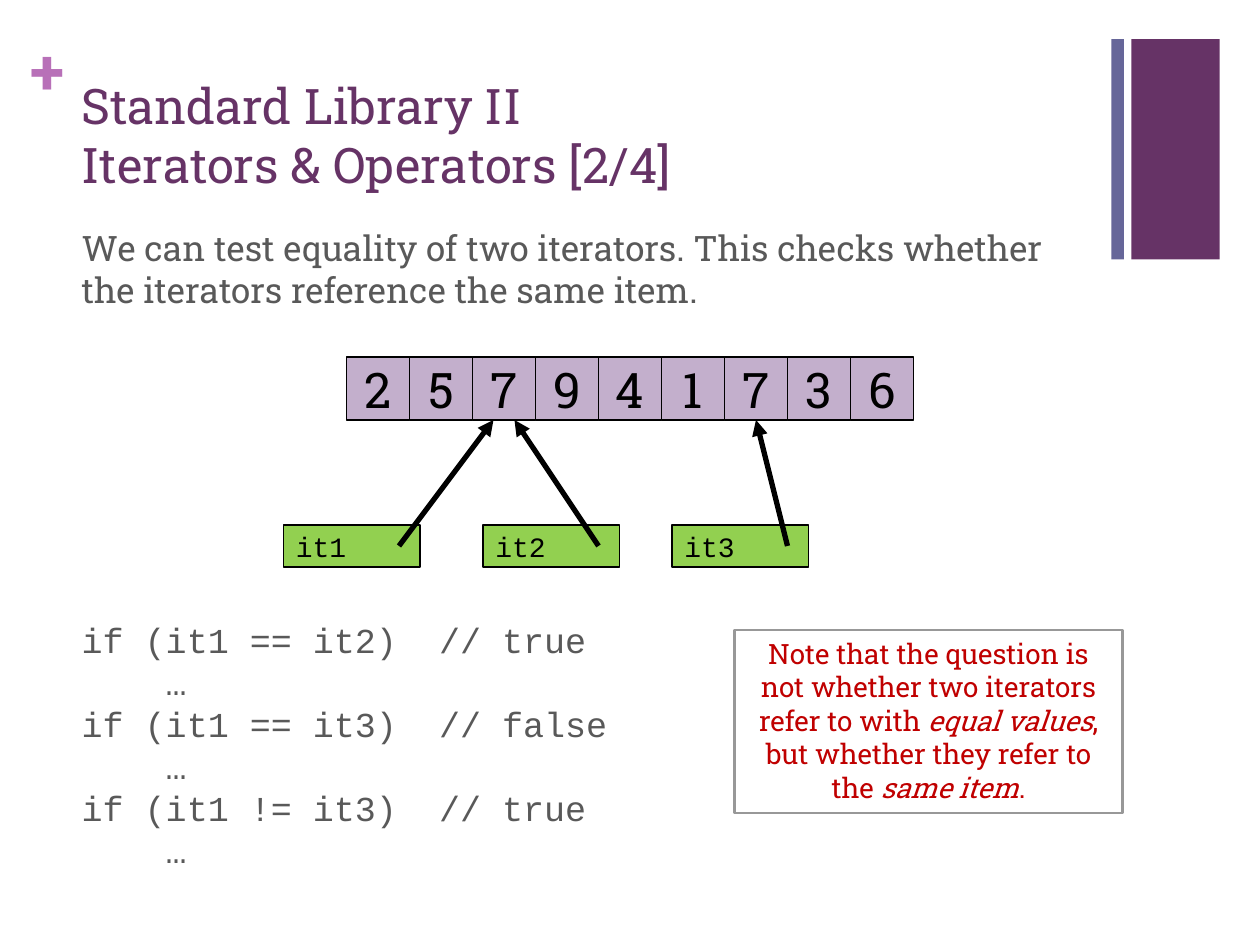
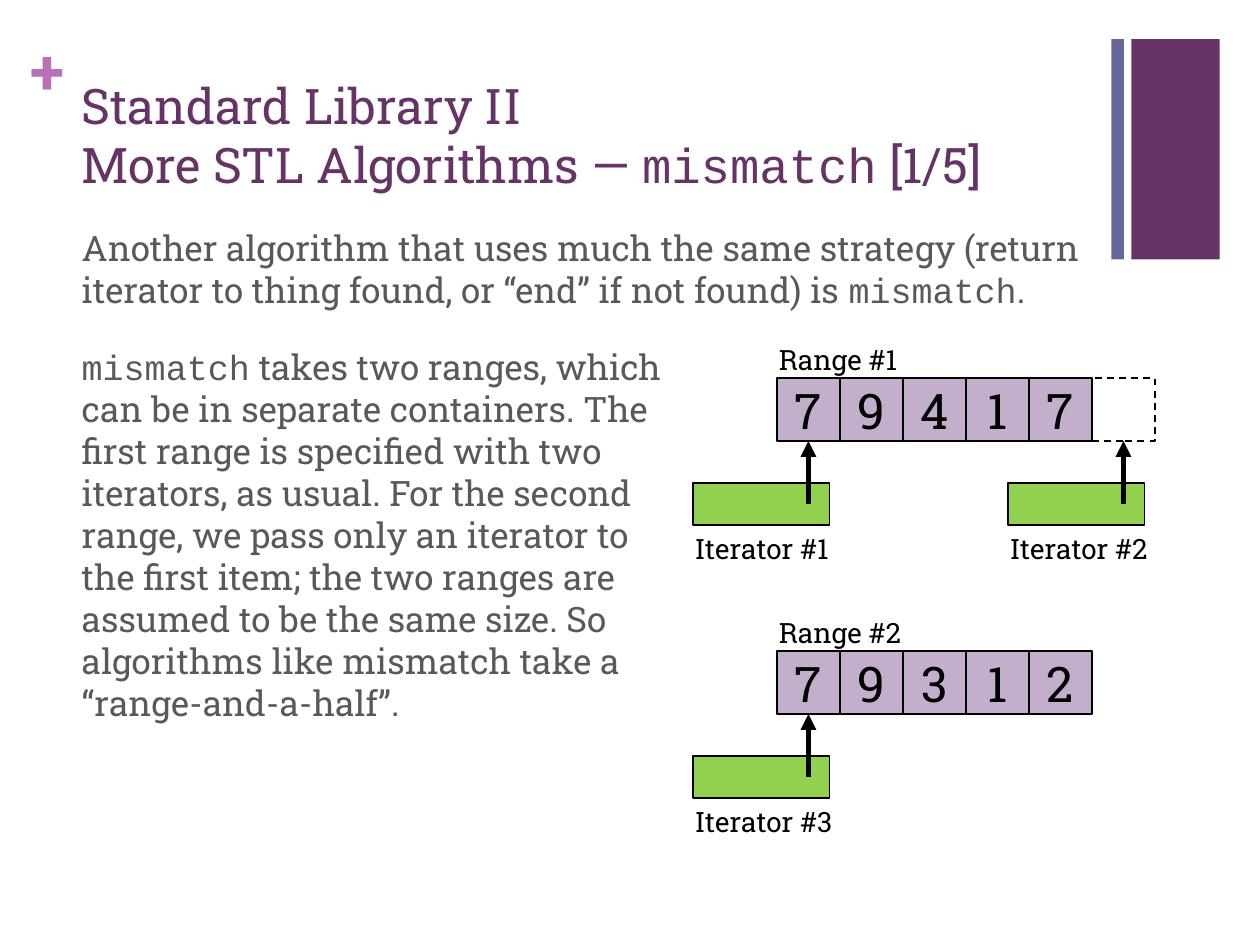
"""Build two slides on C++ iterators: equality tests and the mismatch algorithm."""
from lxml import etree
from pptx import Presentation
from pptx.dml.color import RGBColor
from pptx.enum.dml import MSO_LINE
from pptx.enum.shapes import MSO_CONNECTOR, MSO_SHAPE
from pptx.enum.text import MSO_ANCHOR, PP_ALIGN
from pptx.oxml.ns import qn
from pptx.util import Inches, Pt

RECTANGLE, STRAIGHT, DASH = MSO_SHAPE.RECTANGLE, MSO_CONNECTOR.STRAIGHT, MSO_LINE.DASH
TOP, MIDDLE, BOTTOM = MSO_ANCHOR.TOP, MSO_ANCHOR.MIDDLE, MSO_ANCHOR.BOTTOM
LEFT, CENTER = PP_ALIGN.LEFT, PP_ALIGN.CENTER

PURPLE = RGBColor(0x66, 0x33, 0x66)
SLATE = RGBColor(0x66, 0x66, 0x99)
ORCHID = RGBColor(0xB8, 0x70, 0xB8)
LILAC = RGBColor(0xC3, 0xAF, 0xCC)
GREEN = RGBColor(0x92, 0xD0, 0x50)
DARK_GRAY = RGBColor(0x59, 0x59, 0x59)
MID_GRAY = RGBColor(0x98, 0x98, 0x98)
RED = RGBColor(0xC0, 0x00, 0x00)
BLACK = RGBColor(0x00, 0x00, 0x00)

SERIF, MONO = "Roboto Slab", "Courier New"
GRID = 12
CELL = 6
ITERATOR_WIDTH, ITERATOR_HEIGHT = 13, 4
POINTER_X, POINTER_Y = 11, 2
LABEL_HEIGHT = 4.44
PAST_END = ""

TITLE_BOX = (0.55, 0.53, 8.26, 1.05)
INTRO_BOX = (0.55, 1.75, 8.26, 0.8)
BANDS = [((8.98, 0.31, 0.7, 1.75), PURPLE), ((8.82, 0.31, 0.1, 1.75), SLATE)]
PLUS_BOX = (0.24, 0.25, 0.29, 0.61)

CODE = [
    "if (it1 == it2)  // true",
    "    …",
    "if (it1 == it3)  // false",
    "    …",
    "if (it1 != it3)  // true",
    "    …",
]
NOTE = [
    "Note that the question is\vnot whether two iterators refer to with ",
    ("equal values", "italic"),
    ", but whether they refer to the ",
    ("same item", "italic"),
    ".",
]
EXPLANATION = [
    ("mismatch", "mono"),
    " takes two ranges, which can be in separate containers. The first range is "
    "specified with two iterators, as usual. For the second range, we pass only an "
    "iterator to the first item; the two ranges are assumed to be the same size. So "
    "algorithms like mismatch take a “range-and-a-half”.",
]

SLIDES = [
    {
        "title": ["Standard Library II\vIterators & Operators [2/4]"],
        "intro": ["We can test equality of two iterators. This checks whether "
                  "the iterators reference the same item."],
        "texts": [
            {"box": (0.55, 4.86, 5.2, 2.1), "paragraphs": [[line] for line in CODE],
             "size": 20, "color": DARK_GRAY, "font": MONO, "spacing": Pt(24)},
            {"box": (5.83, 5, 3.08, 1.45), "paragraphs": [NOTE], "size": 16,
             "color": RED, "align": CENTER, "outline": MID_GRAY},
        ],
        "ranges": [
            {"column": 33, "row": 34, "values": [2, 5, 7, 9, 4, 1, 7, 3, 6],
             "iterators": [
                 {"column": 27, "row": 50, "name": "it1", "target": 2, "shift": -1},
                 {"column": 46, "row": 50, "name": "it2", "target": 2, "shift": 1},
                 {"column": 64, "row": 50, "name": "it3", "target": 6},
             ]},
        ],
    },
    {
        "title": ["Standard Library II\vMore STL Algorithms — ",
                  ("mismatch", "mono"), " [1/5]"],
        "intro": ["Another algorithm that uses much the same strategy (return iterator "
                  "to thing found, or “end” if not found) is ", ("mismatch", "mono"), "."],
        "texts": [
            {"box": (0.55, 2.69, 4.85, 3.2), "paragraphs": [EXPLANATION],
             "size": 20, "color": DARK_GRAY},
        ],
        "ranges": [
            {"column": 74, "row": 36, "values": [7, 9, 4, 1, 7, PAST_END],
             "label": "Range #1",
             "iterators": [
                 {"column": 66, "row": 46, "label": "Iterator #1", "target": 0},
                 {"column": 96, "row": 46, "label": "Iterator #2", "target": 5},
             ]},
            {"column": 74, "row": 62, "values": [7, 9, 3, 1, 2], "label": "Range #2",
             "iterators": [
                 {"column": 66, "row": 72, "label": "Iterator #3", "target": 0},
             ]},
        ],
    },
]


def on_grid(*lengths):
    """Turn grid columns and rows into inches."""
    return [length / GRID for length in lengths]


def write(shape, paragraphs, size, color, font=SERIF, align=LEFT, anchor=TOP,
          spacing=None, bold=False):
    """Fill a shape with paragraphs, each a list of plain or styled runs."""
    frame = shape.text_frame
    frame.word_wrap = True
    frame.vertical_anchor = anchor
    for index, runs in enumerate(paragraphs):
        paragraph = frame.add_paragraph() if index else frame.paragraphs[0]
        paragraph.alignment = align
        paragraph.line_spacing = spacing
        mixed = any(isinstance(run, tuple) for run in runs)
        if not mixed:
            paragraph.text = runs[0]
        for item in runs if mixed else []:
            text, style = item if isinstance(item, tuple) else (item, "plain")
            for part, piece in enumerate(text.split("\v")):
                if part:
                    paragraph.add_line_break()
                run = paragraph.add_run()
                run.text = piece
                run.font.name = MONO if style == "mono" else font
                run.font.italic = style == "italic"
        paragraph.font.size = Pt(size)
        paragraph.font.color.rgb = color
        paragraph.font.name = font
        paragraph.font.bold = bold


def add_text(slide, box, paragraphs, size, color, outline=None, **style):
    """Add a text box, with an outline if a colour is given."""
    shape = slide.shapes.add_textbox(*map(Inches, box))
    if outline is not None:
        shape.line.color.rgb = outline
        shape.line.width = Pt(1.25)
    write(shape, paragraphs, size, color, **style)
    return shape


def add_box(slide, box, fill=None, line=BLACK):
    """Add a rectangle with an optional fill and outline."""
    shape = slide.shapes.add_shape(RECTANGLE, *map(Inches, box))
    shape.shadow.inherit = False
    if fill is None:
        shape.fill.background()
    else:
        shape.fill.solid()
        shape.fill.fore_color.rgb = fill
    if line is None:
        shape.line.fill.background()
    else:
        shape.line.color.rgb = line
        shape.line.width = Pt(1)
    return shape


def add_arrow(slide, start, end):
    """Add a thick black arrow."""
    arrow = slide.shapes.add_connector(STRAIGHT, *map(Inches, (*start, *end)))
    arrow.line.color.rgb = BLACK
    arrow.line.width = Pt(3)
    head = etree.SubElement(arrow.line._get_or_add_ln(), qn("a:tailEnd"))
    head.set("type", "triangle")
    etree.SubElement(arrow._element.spPr, qn("a:effectLst"))
    return arrow


def add_label(slide, column, row, width, text):
    """Add a small caption placed on the grid."""
    add_text(slide, on_grid(column, row, width, LABEL_HEIGHT), [[text]], 16, BLACK)


def add_iterator(slide, iterator, container, cells):
    """Add an iterator box and the arrow to the cell it refers to."""
    column, row = iterator["column"], iterator["row"]
    box = add_box(slide, on_grid(column, row, ITERATOR_WIDTH, ITERATOR_HEIGHT), GREEN)
    if "name" in iterator:
        write(box, [[iterator["name"]]], 16, BLACK, font=MONO, anchor=MIDDLE)
    if "label" in iterator:
        add_label(slide, column - 1, row + ITERATOR_HEIGHT, 18, iterator["label"])
    target, shift = iterator["target"], iterator.get("shift", 0)
    tip_column = container["column"] + (target + 0.5) * CELL + shift
    arrow = add_arrow(slide, on_grid(column + POINTER_X, row + POINTER_Y),
                      on_grid(tip_column, container["row"] + CELL))
    if not shift:
        arrow.end_connect(cells[target], 2)


def add_range(slide, container):
    """Add a row of value cells with its label and iterators."""
    column, row = container["column"], container["row"]
    if "label" in container:
        add_label(slide, column - 1, row - 4, 30, container["label"])
    cells = []
    for index, value in enumerate(container["values"]):
        box = on_grid(column + index * CELL, row, CELL, CELL)
        cell = add_box(slide, box, None if value == PAST_END else LILAC)
        if value == PAST_END:
            cell.line.dash_style = DASH
        else:
            write(cell, [[str(value)]], 28, BLACK, align=CENTER, anchor=MIDDLE)
        cells.append(cell)
    for iterator in container["iterators"]:
        add_iterator(slide, iterator, container, cells)


def add_frame(slide, title, intro):
    """Add the bands, plus sign, title and opening text shared by the slides."""
    for box, color in BANDS:
        add_box(slide, box, color, None)
    plus = add_text(slide, PLUS_BOX, [["+"]], 36, ORCHID, bold=True)
    frame = plus.text_frame
    frame.margin_left = frame.margin_right = frame.margin_top = frame.margin_bottom = 0
    add_text(slide, TITLE_BOX, [title], 28, PURPLE, anchor=BOTTOM)
    add_text(slide, INTRO_BOX, [intro], 20, DARK_GRAY)


def main():
    """Build and save the presentation."""
    presentation = Presentation()
    presentation.slide_width, presentation.slide_height = Inches(10), Inches(7.5)
    for content in SLIDES:
        slide = presentation.slides.add_slide(presentation.slide_layouts[6])
        add_frame(slide, content["title"], content["intro"])
        for text in content["texts"]:
            add_text(slide, **text)
        for container in content["ranges"]:
            add_range(slide, container)
    presentation.save("out.pptx")


if __name__ == "__main__":
    main()
